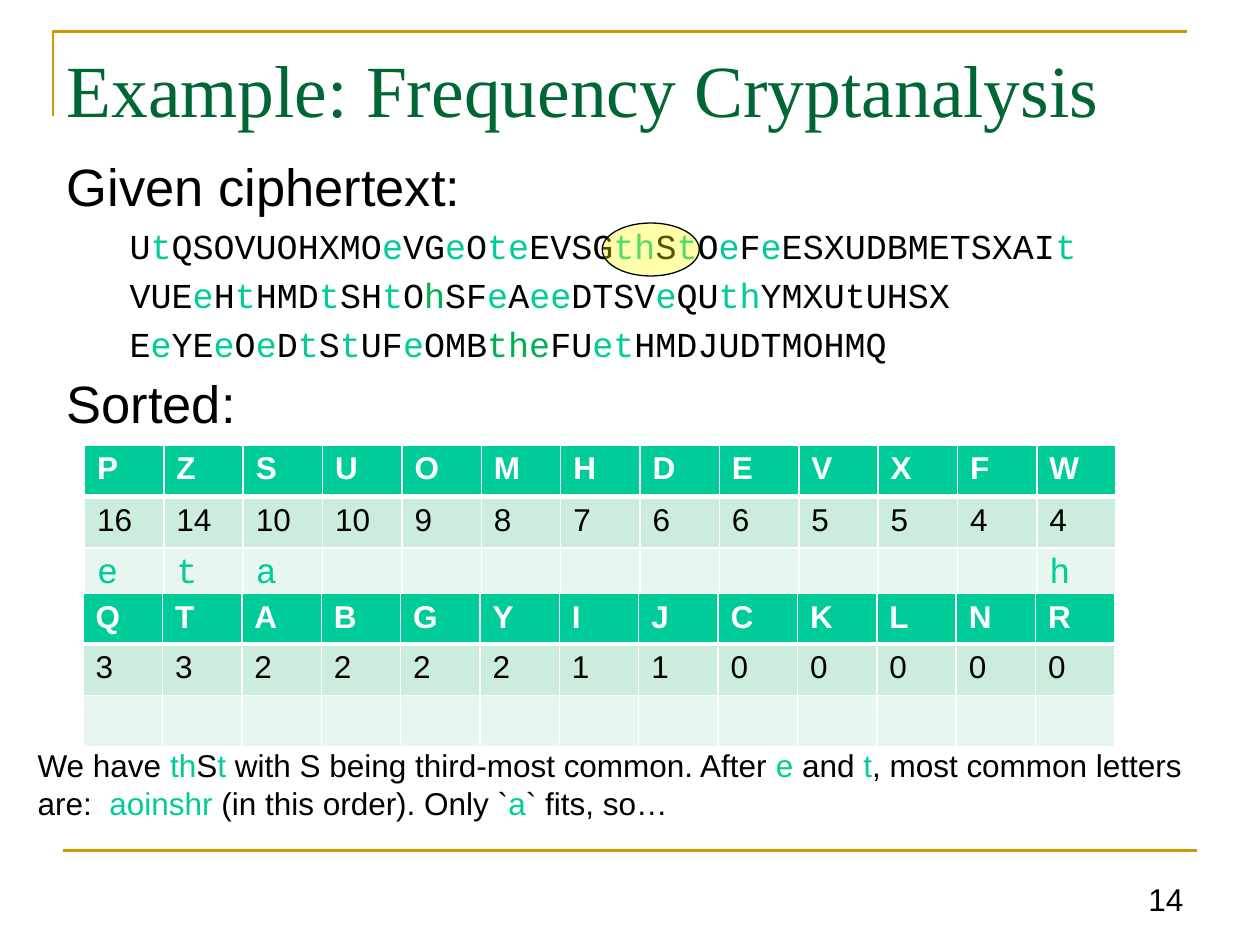
"""Build the frequency cryptanalysis slide with its ciphertext and letter counts."""
from dataclasses import dataclass

from lxml import etree
from pptx import Presentation
from pptx import util as u
from pptx.dml import color
from pptx.enum import shapes, text
from pptx.oxml import ns


@dataclass(frozen=True)
class Theme:
    serif: str = "Times New Roman"
    sans: str = "Arial"
    mono: str = "Courier New"
    title: str = "006633"
    ink: str = "000000"
    mint: str = "00CC99"
    green: str = "00B050"
    gold: str = "CC9900"
    white: str = "FFFFFF"
    yellow: str = "FFFF00"
    count_fill: str = "CCECDE"
    guess_fill: str = "E7F6EF"
    title_size: int = 42
    heading_size: int = 30
    code_size: int = 20
    text_size: int = 18


THEME = Theme()
MARKS = {"{": THEME.mint, "[": THEME.green, "}": THEME.ink, "]": THEME.ink}

TITLE = "Example: Frequency Cryptanalysis"
BODY = [
    ("heading", "Given ciphertext:"),
    ("code", "U{t}QSOVUOHXMO{e}VG{e}O{te}EVSG{th}S{t}O{e}F{e}ESXUDBMETSXAI{t}"),
    ("code", "VUE{e}H{t}HMD{t}SH{t}O[h]SF{e}A{ee}DTSV{e}QU{th}YMXUtUHSX"),
    ("code", "E{e}YE{e}O{e}D{t}S{t}UF{e}OMB[the]FU{et}HMDJUDTMOHMQ"),
    ("heading", "Sorted:"),
]
BODY_STYLES = {
    "heading": (THEME.sans, THEME.heading_size, 7.5, 0.38, -0.38),
    "code": (THEME.mono, THEME.code_size, 6.5, 0.81, -0.31),
}
TABLES = [
    ((0.67, 3.53), (0.41, 0.41, 0.41), "PZSUOMHDEVXFW",
     (16, 14, 10, 10, 9, 8, 7, 6, 6, 5, 5, 4, 4), {"P": "e", "Z": "t", "S": "a", "W": "h"}),
    ((0.66, 4.71), (0.33, 0.41, 0.41), "QTABGYIJCKLNR",
     (3, 3, 2, 2, 2, 2, 1, 1, 0, 0, 0, 0, 0), {}),
]
TABLE_WIDTH = 8.19
ROW_STYLES = [
    (THEME.mint, THEME.sans, THEME.text_size, THEME.white, True),
    (THEME.count_fill, THEME.sans, THEME.text_size, THEME.ink, False),
    (THEME.guess_fill, THEME.mono, THEME.code_size, THEME.mint, False),
]
NOTE = ("We have {th}S{t} with S being third-most common. After {e} and {t}, most common letters\n"
        "are:  {aoinshr} (in this order). Only `{a}` fits, so…")
PAGE_NUMBER = "14"


def rgb(value):
    return color.RGBColor.from_string(value)


def style(span, font, size, ink, bold=False):
    span.font.name, span.font.size, span.font.bold = font, u.Pt(size), bold
    span.font.color.rgb = rgb(ink)


def marked_pieces(content):
    """Split marked text into (piece, colour) pairs."""
    pieces, piece, ink = [], "", THEME.ink
    for letter in content:
        if letter in MARKS:
            pieces.append((piece, ink))
            piece, ink = "", MARKS[letter]
        else:
            piece += letter
    pieces.append((piece, ink))
    return [pair for pair in pieces if pair[0]]


def write(para, content, font, size):
    for piece, ink in marked_pieces(content):
        for number, line in enumerate(piece.split("\n")):
            if number:
                para.add_line_break()
            span = para.add_run()
            span.text = line
            style(span, font, size, ink)


def add_text_box(page, left, top, width, height, wrap=True):
    box = page.shapes.add_textbox(*map(u.Inches, (left, top, width, height)))
    box.text_frame.word_wrap = wrap
    return box.text_frame


def add_rules(page):
    builder = page.shapes.build_freeform(u.Inches(0.42), u.Inches(0.92))
    corner_points = [(0.42, 0.25), (9.42, 0.25)]
    builder.add_line_segments([(u.Inches(x), u.Inches(y)) for x, y in corner_points], close=False)
    corner = builder.convert_to_shape()
    corner.shadow.inherit = False
    corner.fill.background()
    footer = page.shapes.add_connector(
        shapes.MSO_CONNECTOR.STRAIGHT, *map(u.Inches, (0.5, 6.75, 9.5, 6.75)))
    etree.SubElement(footer._element.spPr, ns.qn("a:effectLst"))
    for rule in (corner, footer):
        rule.line.color.rgb = rgb(THEME.gold)
        rule.line.width = u.Pt(1.5)


def add_title(page):
    frame = add_text_box(page, 0.43, 0.3, 9.07, 1.5)
    frame.text = TITLE
    style(frame.paragraphs[0].runs[0], THEME.serif, THEME.title_size, THEME.title)


def add_body(page):
    frame = add_text_box(page, 0.43, 1.23, 9.42, 2.3)
    for number, (kind, content) in enumerate(BODY):
        font, size, before, margin, indent = BODY_STYLES[kind]
        para = frame.add_paragraph() if number else frame.paragraphs[0]
        para.line_spacing, para.space_before = 0.9, u.Pt(before)
        properties = para._p.get_or_add_pPr()
        properties.set("marL", str(u.Inches(margin)))
        properties.set("indent", str(u.Inches(indent)))
        write(para, content, font, size)


def add_borders(cell, widths):
    properties = cell._tc.get_or_add_tcPr()
    for side, width in widths.items():
        line = etree.SubElement(properties, ns.qn(f"a:ln{side}"), w=str(u.Pt(width)))
        fill = etree.SubElement(line, ns.qn("a:solidFill"))
        etree.SubElement(fill, ns.qn("a:srgbClr"), val=THEME.white)


def add_count_table(page, origin, heights, letters, counts, guesses):
    rows = [letters, counts, [guesses.get(letter, "") for letter in letters]]
    place = (*origin, TABLE_WIDTH, sum(heights))
    table = page.shapes.add_table(len(rows), len(letters), *map(u.Inches, place)).table
    for column in table.columns:
        column.width = u.Inches(TABLE_WIDTH / len(letters))
    for y, (values, height, row_style) in enumerate(zip(rows, heights, ROW_STYLES)):
        table.rows[y].height = u.Inches(height)
        fill, *font_style = row_style
        for x, value in enumerate(values):
            cell = table.cell(y, x)
            add_borders(cell, {"L": 1, "R": 1, "T": 3 if y == 1 else 1, "B": 3 if y == 0 else 1})
            cell.fill.solid()
            cell.fill.fore_color.rgb = rgb(fill)
            cell.text_frame.text = str(value)
            for span in cell.text_frame.paragraphs[0].runs:
                style(span, *font_style)


def add_note(page):
    frame = add_text_box(page, 0.2, 5.87, 9.37, 0.71, wrap=False)
    frame.auto_size = text.MSO_AUTO_SIZE.SHAPE_TO_FIT_TEXT
    write(frame.paragraphs[0], NOTE, THEME.sans, THEME.text_size)


def add_highlight(page):
    oval = page.shapes.add_shape(
        shapes.MSO_SHAPE.OVAL, *map(u.Inches, (4.78, 1.77, 0.77, 0.42)))
    oval.shadow.inherit = False
    oval.fill.solid()
    oval.fill.fore_color.rgb = rgb(THEME.yellow)
    tint = oval._element.spPr.find(ns.qn("a:solidFill"))[0]
    etree.SubElement(tint, ns.qn("a:alpha"), val="33000")
    oval.line.color.rgb = rgb(THEME.ink)
    oval.line.width = u.Pt(0.75)


def add_page_number(page):
    frame = add_text_box(page, 8.96, 6.84, 0.53, 0.49)
    frame.vertical_anchor = text.MSO_ANCHOR.BOTTOM
    frame.text = PAGE_NUMBER
    para = frame.paragraphs[0]
    para.alignment = text.PP_ALIGN.RIGHT
    style(para.runs[0], THEME.sans, THEME.text_size, THEME.ink)


def main():
    deck = Presentation()
    deck.slide_width, deck.slide_height = u.Inches(10), u.Inches(7.5)
    page = deck.slides.add_slide(deck.slide_layouts[6])
    add_rules(page)
    add_title(page)
    add_body(page)
    for table in TABLES:
        add_count_table(page, *table)
    add_note(page)
    add_highlight(page)
    add_page_number(page)
    deck.save("out.pptx")


if __name__ == "__main__":
    main()
